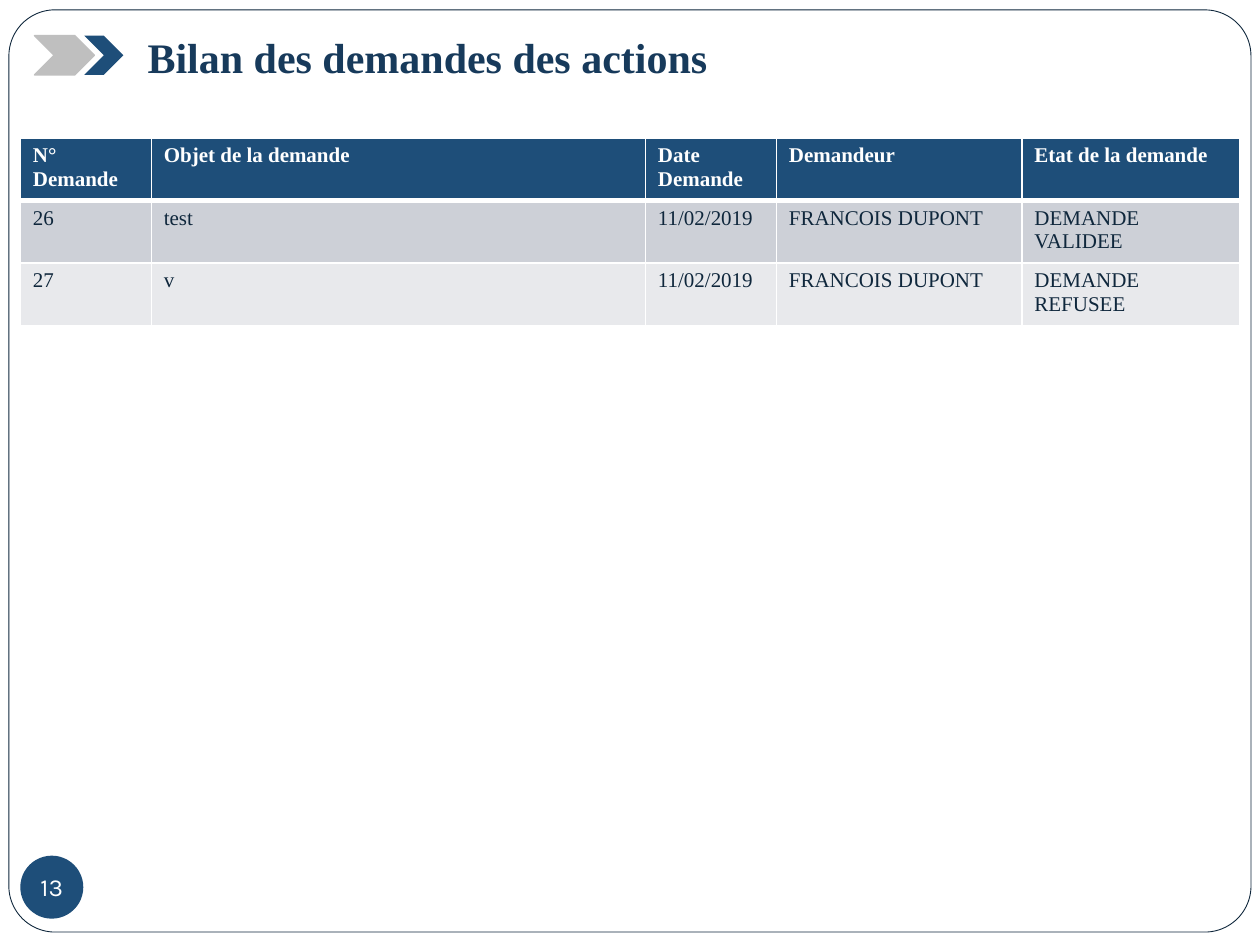
from lxml import etree
from pptx import Presentation
from pptx.dml.color import RGBColor
from pptx.enum.shapes import MSO_SHAPE
from pptx.enum.text import MSO_ANCHOR, MSO_AUTO_SIZE, PP_ALIGN
from pptx.oxml.ns import qn
from pptx.util import Cm, Pt

ROUNDED = MSO_SHAPE.ROUNDED_RECTANGLE
CHEVRON = MSO_SHAPE.CHEVRON
OVAL = MSO_SHAPE.OVAL
MIDDLE = MSO_ANCHOR.MIDDLE
TOP = MSO_ANCHOR.TOP
LEFT = PP_ALIGN.LEFT
CENTER = PP_ALIGN.CENTER
NO_AUTOFIT = MSO_AUTO_SIZE.NONE

COLORS = {
    "white": "FFFFFF",
    "ink": "0F273C",
    "blue": "1E4E79",
    "title": "173A5B",
    "grey": "BFBFBF",
    "odd_row": "CDD0D7",
    "even_row": "E8E9EC",
}
SERIF = "Times New Roman"
FORMATS = {
    "title": {"name": SERIF, "size": Pt(24), "bold": True},
    "header": {"name": SERIF, "size": Pt(12), "bold": True},
    "body": {"name": SERIF, "size": Pt(12), "bold": False},
    "number": {"name": "Karla", "size": Pt(14), "bold": False},
}
COLUMN_WIDTHS = [2.64, 9.96, 2.64, 4.95, 4.39]
ROW_HEIGHT = 1.26
REQUESTS = [
    ["N° Demande", "Objet de la demande", "Date Demande", "Demandeur", "Etat de la demande"],
    ["26", "test", "11/02/2019", "FRANCOIS DUPONT", "DEMANDE VALIDEE"],
    ["27", "v", "11/02/2019", "FRANCOIS DUPONT", "DEMANDE REFUSEE"],
]


def rgb(color):
    return RGBColor.from_string(COLORS[color])


def write(frame, text, style, color, align=LEFT):
    para = frame.paragraphs[0]
    para.alignment = align
    span = para.add_run()
    span.text = text
    for name, value in FORMATS[style].items():
        setattr(span.font, name, value)
    span.font.color.rgb = rgb(color)


def add_block(page, kind, place, fill, line=None, line_width=1):
    block = page.shapes.add_shape(kind, *map(Cm, place))
    block.shadow.inherit = False
    block.fill.solid()
    block.fill.fore_color.rgb = rgb(fill)
    if line:
        block.line.color.rgb = rgb(line)
        block.line.width = Pt(line_width)
    else:
        block.line.fill.background()
    return block


def add_title(page, text):
    title = page.shapes.title
    title.left, title.top, title.width, title.height = map(Cm, (2.72, 0.51, 21.69, 1.27))
    frame = title.text_frame
    frame.word_wrap = True
    frame.auto_size = NO_AUTOFIT
    frame.vertical_anchor = TOP
    write(frame, text, "title", "title")
    title.element.getparent().append(title.element)


def add_page_number(page, number):
    badge = add_block(page, OVAL, (0.41, 17.25, 1.27, 1.27), "blue")
    frame = badge.text_frame
    for side in ("left", "top", "right", "bottom"):
        setattr(frame, f"margin_{side}", 0)
    frame.word_wrap = False
    frame.vertical_anchor = MIDDLE
    write(frame, number, "number", "white", CENTER)


def set_borders(cell, widths):
    properties = cell._tc.get_or_add_tcPr()
    for side, width in widths.items():
        border = etree.SubElement(properties, qn(f"a:ln{side}"), w=str(Pt(width)))
        fill = etree.SubElement(border, qn("a:solidFill"))
        etree.SubElement(fill, qn("a:srgbClr"), val=COLORS["white"])


def add_request_table(page):
    width, height = sum(COLUMN_WIDTHS), ROW_HEIGHT * len(REQUESTS)
    table = page.shapes.add_table(
        len(REQUESTS), len(COLUMN_WIDTHS), Cm(0.41), Cm(2.78), Cm(width), Cm(height)
    ).table
    for column, column_width in zip(table.columns, COLUMN_WIDTHS):
        column.width = Cm(column_width)
    row_fills = ["blue", "odd_row", "even_row"]
    for row_index, (texts, fill) in enumerate(zip(REQUESTS, row_fills)):
        table.rows[row_index].height = Cm(ROW_HEIGHT)
        style, color = ("body", "ink") if row_index else ("header", "white")
        borders = {"L": 1, "R": 1, "T": 3 if row_index == 1 else 1, "B": 1 if row_index else 3}
        for column_index, text in enumerate(texts):
            cell = table.cell(row_index, column_index)
            set_borders(cell, borders)
            cell.fill.solid()
            cell.fill.fore_color.rgb = rgb(fill)
            write(cell.text_frame, text, style, color)


def main():
    deck = Presentation()
    deck.slide_width, deck.slide_height = Cm(25.4), Cm(19.05)
    page = deck.slides.add_slide(deck.slide_layouts[5])
    border = add_block(page, ROUNDED, (0.18, 0.2, 25.04, 18.59), "white", "ink", 0.5)
    border.adjustments[0] = 0.05
    add_page_number(page, "13")
    add_block(page, CHEVRON, (0.7, 0.72, 1.2, 0.79), "grey", "grey")
    add_block(page, CHEVRON, (1.7, 0.72, 0.79, 0.79), "blue")
    add_title(page, "Bilan des demandes des actions")
    add_request_table(page)
    deck.save("out.pptx")


if __name__ == "__main__":
    main()
